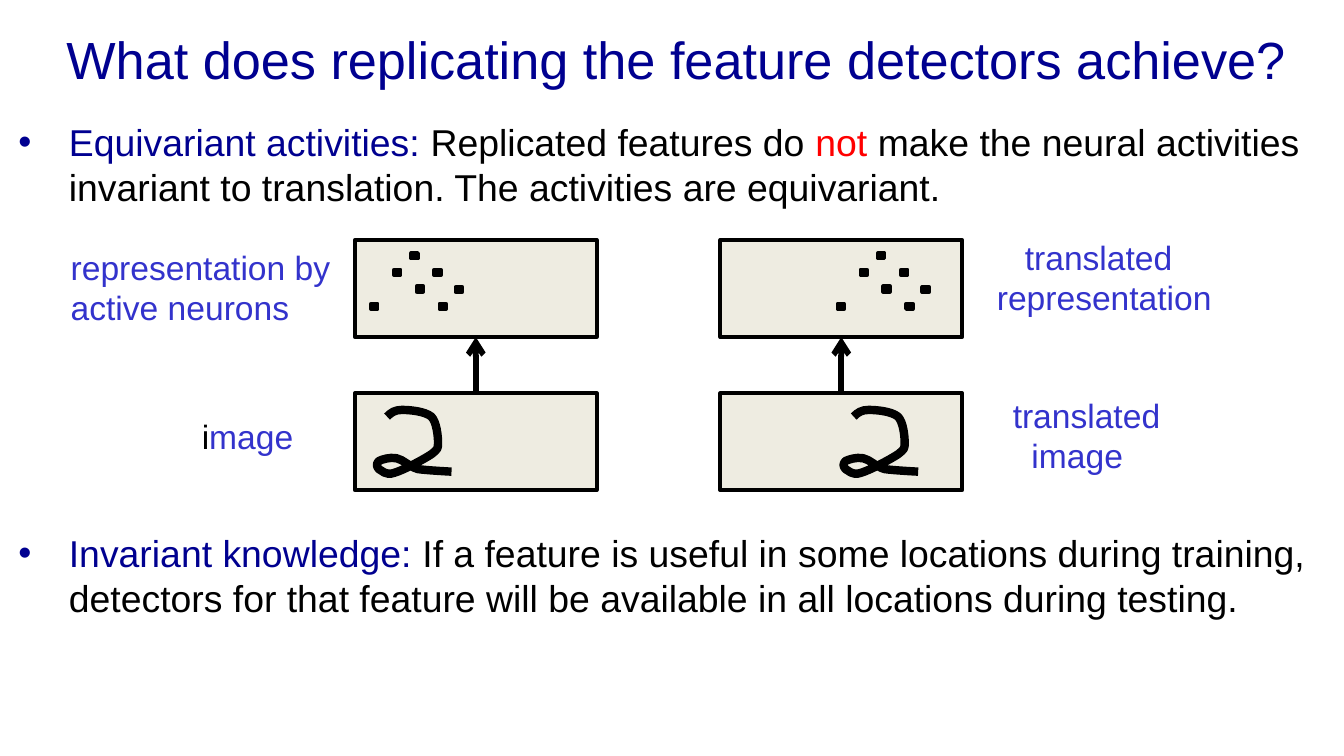
from lxml.etree import SubElement
from pptx import Presentation
from pptx.dml.color import RGBColor
from pptx.enum.shapes import MSO_CONNECTOR, MSO_SHAPE
from pptx.enum.text import MSO_ANCHOR, MSO_AUTO_SIZE, PP_ALIGN
from pptx.oxml.ns import qn
from pptx.util import Pt

BLACK = RGBColor(0x00, 0x00, 0x00)
NAVY = RGBColor(0x00, 0x00, 0x90)
RED = RGBColor(0xFF, 0x00, 0x00)
BLUE = RGBColor(0x33, 0x33, 0xCC)
CREAM = RGBColor(0xEE, 0xEC, 0xE1)

TITLE = [("What does replicating the feature detectors achieve?", NAVY)]
BULLETS = [
    (1.5, [
        ("Equivariant activities: ", NAVY),
        ("Replicated features do ", BLACK),
        ("not", RED),
        (" make the neural activities invariant to translation. "
         "The activities are equivariant.", BLACK),
    ]),
    (172, [
        ("Invariant knowledge: ", NAVY),
        ("If a feature is useful in some locations during training, detectors "
         "for that feature will be available in all locations during testing.", BLACK),
    ]),
]
LABELS = [
    ((30.8, 128.6, 153.4, 51), (0, 0), [("representation by active neurons", BLUE)]),
    ((101, 219.3, 66.2, 29), (0, 0), [("i", BLACK), ("mage", BLUE)]),
    ((527, 123.1, 132.5, 51), (0, 15), [("translated representation", BLUE)]),
    ((535.5, 207.8, 112.3, 51), (10, -10), [("translated image", BLUE)]),
]

BOX_WIDTH, BOX_HEIGHT = 129.6, 52
NEURONS_TOP, IMAGE_TOP = 128.6, 210.7
PANELS = [(190.1, 201.6), (385.9, 451.6)]
DOT_WIDTH, DOT_HEIGHT = 3.6, 2.9
ACTIVE_NEURONS = [(9.4, 15.9), (21.6, 24.8), (33.8, 34.1), (18.7, 7),
                  (31, 15.9), (42.5, 25.1), (-2.9, 34.1)]
DIGIT_TOP = 219.6
DIGIT_START = (5.8, 3.6)
DIGIT_CURVES = [
    ((7.9, 1.4), (10.1, 0), (13.7, 0)),
    ((18, 0), (25.9, 0.7), (29.5, 3.6)),
    ((32.4, 6.5), (33.1, 14.4), (33.1, 17.3)),
    ((33.1, 20.9), (33.1, 20.9), (29.5, 23.8)),
    ((25.2, 26.6), (14.4, 32.4), (9.4, 33.8)),
    ((5, 35.3), (2.9, 32.4), (1.4, 31.7)),
    ((0, 30.2), (0, 28.8), (1.4, 27.4)),
    ((2.9, 26.6), (7.2, 25.2), (10.8, 25.9)),
    ((14.4, 26.6), (17.3, 30.2), (22.3, 31.7)),
    ((26.6, 32.4), (40.3, 33.1), (40.3, 33.1)),
]


def place(shape, left, top, width, height):
    shape.left, shape.top = Pt(left), Pt(top)
    shape.width, shape.height = Pt(width), Pt(height)


def add_runs(paragraph, runs, size):
    for text, color in runs:
        run = paragraph.add_run()
        run.text = text
        run.font.name = "Arial"
        run.font.size = Pt(size)
        run.font.color.rgb = color


def set_indent(paragraph, margin, indent):
    properties = paragraph._p.get_or_add_pPr()
    properties.set("marL", str(Pt(margin)))
    properties.set("indent", str(Pt(indent)))
    return properties


def add_title(slide):
    title = slide.shapes.title
    place(title, 20, -2.2, 684, 67.7)
    frame = title.text_frame
    frame.auto_size = MSO_AUTO_SIZE.NONE
    frame.vertical_anchor = MSO_ANCHOR.MIDDLE
    paragraph = frame.paragraphs[0]
    paragraph.alignment = PP_ALIGN.CENTER
    add_runs(paragraph, TITLE, 28)


def add_bullets(slide):
    body = slide.placeholders[1]
    place(body, 2.7, 60.5, 706.3, 310.3)
    frame = body.text_frame
    frame.auto_size = MSO_AUTO_SIZE.NONE
    for index, (space, runs) in enumerate(BULLETS):
        paragraph = frame.add_paragraph() if index else frame.paragraphs[0]
        paragraph.space_before = Pt(space)
        properties = set_indent(paragraph, 27, -27)
        SubElement(properties, qn("a:buFont")).set("typeface", "Arial")
        SubElement(properties, qn("a:buChar")).set("char", "•")
        add_runs(paragraph, runs, 20)


def add_rectangle(slide, left, top, width, height, fill):
    rectangle = slide.shapes.add_shape(
        MSO_SHAPE.RECTANGLE, Pt(left), Pt(top), Pt(width), Pt(height))
    rectangle.shadow.inherit = False
    rectangle.fill.solid()
    rectangle.fill.fore_color.rgb = fill
    rectangle.line.color.rgb = BLACK
    rectangle.line.width = Pt(2)
    return rectangle


def add_arrow(slide, source, target):
    arrow = slide.shapes.add_connector(MSO_CONNECTOR.STRAIGHT, 0, 0, 0, 0)
    arrow.begin_connect(source, 0)
    arrow.end_connect(target, 2)
    arrow.line.color.rgb = BLACK
    arrow.line.width = Pt(3)
    SubElement(arrow.line._get_or_add_ln(), qn("a:tailEnd")).set("type", "arrow")
    SubElement(arrow._element.spPr, qn("a:effectLst"))


def bend_segments(freeform):
    outline = next(freeform._element.iter(qn("a:moveTo"))).getparent()
    segments = outline.findall(qn("a:lnTo"))
    for start in range(0, len(segments), 3):
        curve = SubElement(outline, qn("a:cubicBezTo"))
        for segment in segments[start:start + 3]:
            curve.append(segment[0])
            outline.remove(segment)


def add_digit(slide, left):
    points = [DIGIT_START] + [point for curve in DIGIT_CURVES for point in curve]
    vertices = [(Pt(left + x), Pt(DIGIT_TOP + y)) for x, y in points]
    builder = slide.shapes.build_freeform(*vertices[0])
    builder.add_line_segments(vertices[1:], close=False)
    digit = builder.convert_to_shape()
    bend_segments(digit)
    digit.shadow.inherit = False
    digit.fill.background()
    digit.line.color.rgb = BLACK
    digit.line.width = Pt(4.5)


def add_panel(slide, box_left, drawing_left):
    image, neurons = [
        add_rectangle(slide, box_left, top, BOX_WIDTH, BOX_HEIGHT, CREAM)
        for top in (IMAGE_TOP, NEURONS_TOP)]
    add_arrow(slide, image, neurons)
    add_digit(slide, drawing_left)
    for x, y in ACTIVE_NEURONS:
        add_rectangle(slide, drawing_left + x, NEURONS_TOP + y,
                      DOT_WIDTH, DOT_HEIGHT, BLACK)


def add_label(slide, position, indents, runs):
    frame = slide.shapes.add_textbox(*map(Pt, position)).text_frame
    frame.word_wrap = True
    paragraph = frame.paragraphs[0]
    set_indent(paragraph, *indents)
    add_runs(paragraph, runs, 18)


def main():
    """Build the slide on replicated feature detectors."""
    presentation = Presentation()
    presentation.slide_width, presentation.slide_height = Pt(720), Pt(405)
    slide = presentation.slides.add_slide(presentation.slide_layouts[1])
    add_title(slide)
    add_bullets(slide)
    for panel in PANELS:
        add_panel(slide, *panel)
    for label in LABELS:
        add_label(slide, *label)
    presentation.save("out.pptx")


if __name__ == "__main__":
    main()
